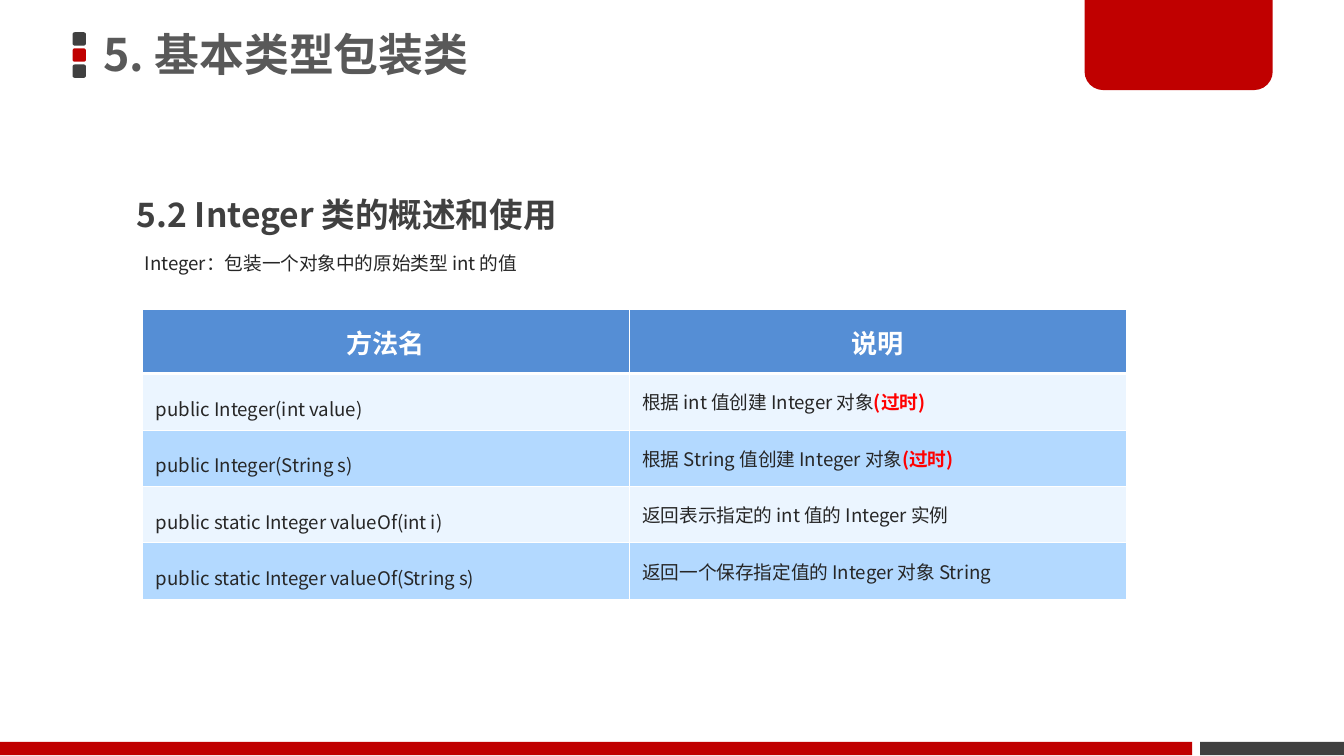
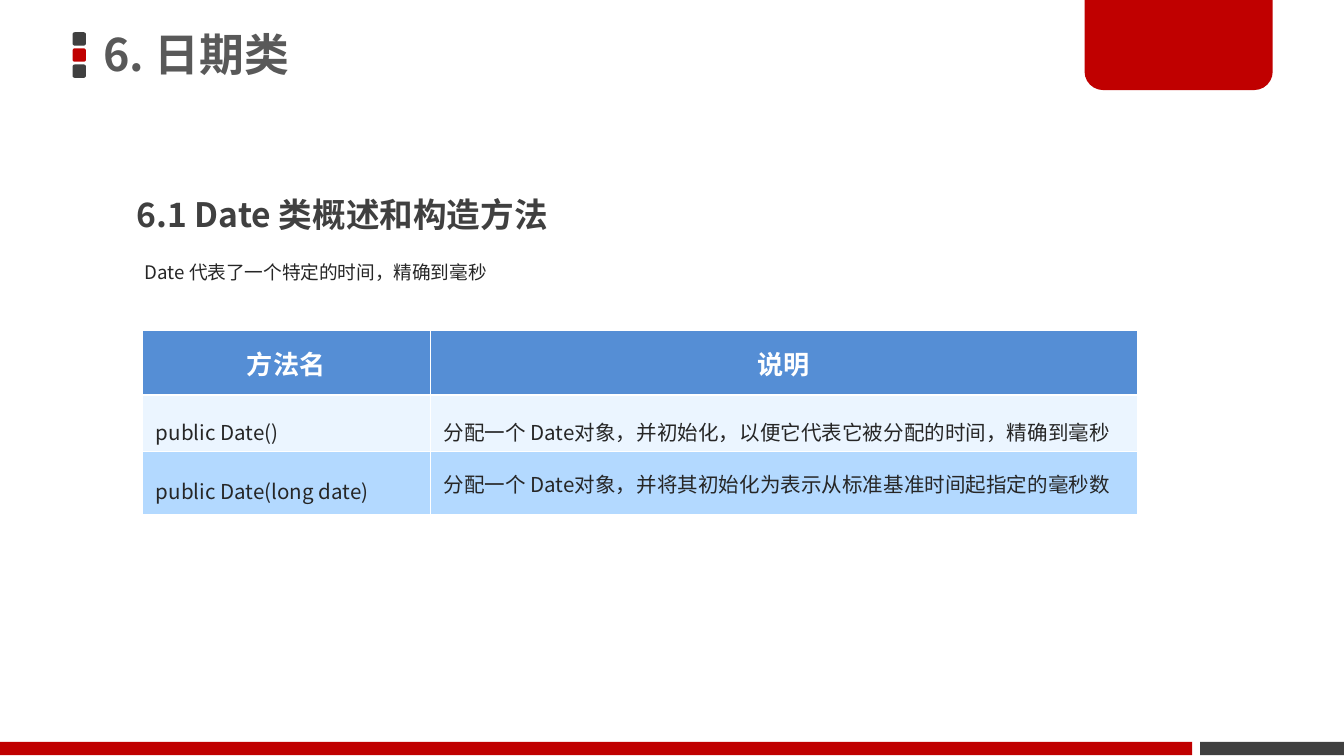
from lxml.etree import SubElement
from pptx import Presentation
from pptx.dml.color import RGBColor
from pptx.enum.shapes import MSO_SHAPE
from pptx.enum.text import MSO_ANCHOR, PP_ALIGN
from pptx.oxml.ns import qn
from pptx.util import Inches, Pt

# Shared look
FONT = "Noto Sans CJK SC"
RED = RGBColor(0xC0, 0x00, 0x00)
DARK = RGBColor(0x40, 0x40, 0x40)
TITLE_GREY = RGBColor(0x59, 0x59, 0x59)
TEXT = RGBColor(0x26, 0x26, 0x26)
WARNING = RGBColor(0xFF, 0x00, 0x00)
WHITE = RGBColor(0xFF, 0xFF, 0xFF)
HEADER_BLUE = RGBColor(0x55, 0x8E, 0xD5)
BANDS = [RGBColor(0xEB, 0xF5, 0xFF), RGBColor(0xB3, 0xD9, 0xFF)]
THIN, THICK = 0.45, 1.47

TITLE = {"size": Pt(24), "bold": True, "color": TITLE_GREY}
HEADING = {"size": Pt(18), "bold": True, "color": DARK}
BODY = {"size": Pt(10), "bold": False, "color": TEXT}
TABLE_HEAD = {"size": Pt(14), "bold": True, "color": WHITE}
OUTDATED = "(过时)"


def add_run(p, text, style):
    r = p.add_run()
    r.text = text
    r.font.name = FONT
    for name, value in style.items():
        if name == "color":
            r.font.color.rgb = value
        else:
            setattr(r.font, name, value)
    SubElement(r.font._element, qn("a:ea"), typeface=FONT)


def add_block(slide, kind, box, color, adjustments=()):
    sp = slide.shapes.add_shape(kind, *map(Inches, box))
    sp.shadow.inherit = False
    sp.fill.solid()
    sp.fill.fore_color.rgb = color
    sp.line.fill.background()
    for i, value in enumerate(adjustments):
        sp.adjustments[i] = value


def add_text(slide, box, text, style, spacing=1.5, anchor=MSO_ANCHOR.TOP, insets=(0.1, 0.05)):
    tf = slide.shapes.add_textbox(*map(Inches, box)).text_frame
    tf.word_wrap = True
    tf.vertical_anchor = anchor
    tf.margin_left = tf.margin_right = Inches(insets[0])
    tf.margin_top = tf.margin_bottom = Inches(insets[1])
    p = tf.paragraphs[0]
    p.line_spacing = spacing
    add_run(p, text, style)


def set_borders(cell, top, bottom):
    tc_pr = cell._tc.get_or_add_tcPr()
    for side, width in zip("LRTB", (THIN, THIN, top, bottom)):
        ln = SubElement(tc_pr, qn(f"a:ln{side}"), w=str(Pt(width)))
        SubElement(SubElement(ln, qn("a:solidFill")), qn("a:srgbClr"), val=str(WHITE))


def fill_cell(cell, runs, color, spacing, anchor, align, top=THIN, bottom=THIN):
    set_borders(cell, top, bottom)
    cell.fill.solid()
    cell.fill.fore_color.rgb = color
    cell.vertical_anchor = anchor
    p = cell.text_frame.paragraphs[0]
    p.alignment = align
    p.line_spacing = spacing
    for text, style in runs:
        add_run(p, text, style)


def add_method_table(slide, top, widths, heights, rows, size):
    """Each row holds a method, its description, the description's line spacing and a note."""
    tbl = slide.shapes.add_table(len(heights), 2, Inches(1.06), Inches(top),
                                 Inches(sum(widths)), Inches(sum(heights))).table
    tbl.first_row = tbl.horz_banding = False
    for column, width in zip(tbl.columns, widths):
        column.width = Inches(width)
    for row, height in zip(tbl.rows, heights):
        row.height = Inches(height)

    for col, label in enumerate(["方法名", "说明"]):
        fill_cell(tbl.cell(0, col), [(label, TABLE_HEAD)], HEADER_BLUE, Pt(24),
                  MSO_ANCHOR.TOP, PP_ALIGN.CENTER, bottom=THICK)

    body = {**BODY, "size": Pt(size)}
    warning = {**body, "bold": True, "color": WARNING}
    for i, (method, description, spacing, note) in enumerate(rows):
        runs = [(description, body)] + ([(note, warning)] if note else [])
        for col, (content, gap) in enumerate([([(method, body)], 1.5), (runs, spacing)]):
            fill_cell(tbl.cell(i + 1, col), content, BANDS[i % 2], gap, MSO_ANCHOR.MIDDLE,
                      PP_ALIGN.LEFT, top=THIN if i else THICK)


def add_base(prs, title, heading):
    slide = prs.slides.add_slide(prs.slide_layouts[6])
    # Title marker
    for i, color in enumerate([DARK, RED, DARK]):
        add_block(slide, MSO_SHAPE.ROUNDED_RECTANGLE, (0.54, 0.24 + 0.12 * i, 0.1, 0.1),
                  color, [0.167])
    # Footer bands and corner tab
    add_block(slide, MSO_SHAPE.RECTANGLE, (8.93, 5.52, 1.07, 0.1), DARK)
    add_block(slide, MSO_SHAPE.ROUND_2_SAME_RECTANGLE, (8.07, -0.02, 1.4, 0.69), RED, [0, 0.2])
    add_block(slide, MSO_SHAPE.RECTANGLE, (0, 5.52, 8.87, 0.1), RED)
    # Title and section heading
    add_text(slide, (0.69, -0.02, 5.89, 0.89), title, TITLE, 0.9, MSO_ANCHOR.MIDDLE, (0.08, 0.04))
    add_text(slide, (0.92, 1.24, 3.84, 0.55), heading, HEADING)
    return slide


def main():
    prs = Presentation()
    prs.slide_width = Inches(10)
    prs.slide_height = prs.slide_width * 9 // 16

    # Integer wrapper class
    slide = add_base(prs, "5. 基本类型包装类", "5.2 Integer 类的概述和使用")
    add_text(slide, (0.98, 1.74, 8.43, 0.35), "Integer：包装一个对象中的原始类型 int 的值", BODY)
    add_method_table(slide, 2.3, [3.62, 3.7], [0.48] + [0.42] * 4, [
        ("public Integer(int value)", "根据 int 值创建 Integer 对象", 1.0, OUTDATED),
        ("public Integer(String s)", "根据 String 值创建 Integer 对象", 1.0, OUTDATED),
        ("public static Integer valueOf(int i)", "返回表示指定的 int 值的 Integer 实例", 1.0, ""),
        ("public static Integer valueOf(String s)", "返回一个保存指定值的 Integer 对象 String", 1.0, ""),
    ], size=10)

    # Date class
    slide = add_base(prs, "6. 日期类", "6.1 Date 类概述和构造方法")
    add_text(slide, (0.98, 1.81, 7.88, 0.35), "Date 代表了一个特定的时间，精确到毫秒", BODY)
    add_method_table(slide, 2.46, [2.14, 5.26], [0.48, 0.42, 0.47], [
        ("public Date()", "分配一个 Date对象，并初始化，以便它代表它被分配的时间，精确到毫秒", 1.5, ""),
        ("public Date(long date)", "分配一个 Date对象，并将其初始化为表示从标准基准时间起指定的毫秒数", 1.0, ""),
    ], size=11)

    prs.save("out.pptx")


if __name__ == "__main__":
    main()
